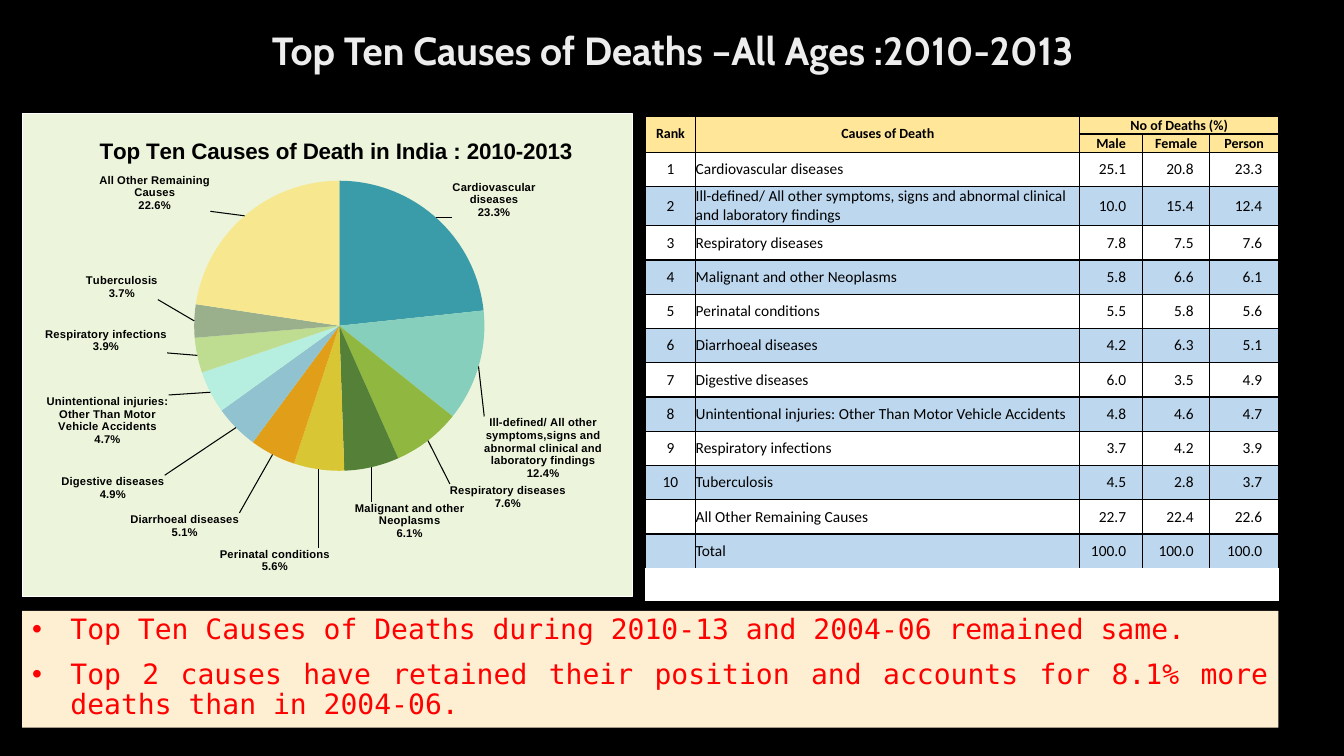
import pptx
import pptx.chart.data
import pptx.dml.color
import pptx.enum.chart
import pptx.enum.shapes
import pptx.enum.text
import pptx.oxml
import pptx.oxml.ns
import pptx.util

Inches = pptx.util.Inches
Pt = pptx.util.Pt
RGBColor = pptx.dml.color.RGBColor
Align = pptx.enum.text.PP_ALIGN
Anchor = pptx.enum.text.MSO_ANCHOR
qn = pptx.oxml.ns.qn
NS = pptx.oxml.ns.nsdecls("a", "c")

BLACK = RGBColor(0, 0, 0)
WHITE = RGBColor(255, 255, 255)
SILVER = RGBColor(0xED, 0xED, 0xED)
RED = RGBColor(255, 0, 0)
CREAM = RGBColor(0xFE, 0xEF, 0xD2)
GOLD = RGBColor(0xFF, 0xE6, 0x99)
SKY = RGBColor(0xBD, 0xD7, 0xEE)

SLICES = [
    ("Cardiovascular diseases", 23.3, RGBColor(0x3A, 0x9B, 0xA9), 0.02, 0.01),
    ("Ill-defined/ All other symptoms,signs and abnormal clinical and laboratory findings",
     12.4, RGBColor(0x86, 0xCF, 0xBD), 0, 0.1),
    ("Respiratory diseases", 7.6, RGBColor(0x90, 0xB8, 0x41), 0.03, 0.08),
    ("Malignant and other Neoplasms", 6.1, RGBColor(0x55, 0x80, 0x37), -0.03, 0.06),
    ("Perinatal conditions", 5.6, RGBColor(0xD9, 0xC6, 0x34), 0.02, 0.15),
    ("Diarrhoeal diseases", 5.1, RGBColor(0xE1, 0x9E, 0x19), -0.05, 0.11),
    ("Digestive diseases", 4.9, RGBColor(0x90, 0xC3, 0xCF), -0.11, 0.09),
    ("Unintentional injuries: Other Than Motor Vehicle Accidents",
     4.7, RGBColor(0xB6, 0xEE, 0xDF), -0.06, 0),
    ("Respiratory infections", 3.9, RGBColor(0xBE, 0xDD, 0x91), -0.04, -0.06),
    ("Tuberculosis", 3.7, RGBColor(0x9A, 0xB0, 0x8D), -0.05, -0.07),
    ("All Other Remaining Causes", 22.6, RGBColor(0xF7, 0xE7, 0x8F), -0.05, 0),
]

ROWS = [
    ("Rank", "Causes of Death", "No of Deaths (%)", "", ""),
    ("", "", "Male", "Female", "Person"),
    ("1", "Cardiovascular diseases", "25.1", "20.8", "23.3"),
    ("2", "Ill-defined/ All other symptoms, signs and abnormal clinical and laboratory findings",
     "10.0", "15.4", "12.4"),
    ("3", "Respiratory diseases", "7.8", "7.5", "7.6"),
    ("4", "Malignant and other Neoplasms", "5.8", "6.6", "6.1"),
    ("5", "Perinatal conditions", "5.5", "5.8", "5.6"),
    ("6", "Diarrhoeal diseases", "4.2", "6.3", "5.1"),
    ("7", "Digestive diseases", "6.0", "3.5", "4.9"),
    ("8", "Unintentional injuries: Other Than Motor Vehicle Accidents", "4.8", "4.6", "4.7"),
    ("9", "Respiratory infections", "3.7", "4.2", "3.9"),
    ("10", "Tuberculosis", "4.5", "2.8", "3.7"),
    ("", "All Other Remaining Causes", "22.7", "22.4", "22.6"),
    ("", "Total", "100.0", "100.0", "100.0"),
    ("", "", "", "", ""),
]
WIDTHS = [0.5, 3.81, 0.62, 0.67, 0.68]
HEIGHTS = [0.18, 0.18, 0.34, 0.39] + [0.34] * 10 + [0.32]

POINTS = [
    "Top Ten Causes of Deaths during 2010-13 and 2004-06 remained same.",
    "Top 2 causes have retained their position and accounts for 8.1% more deaths than in 2004-06.",
]


def style(para, face, size, color, bold=False):
    for run in para.runs:
        run.font.name = face
        run.font.size = Pt(size)
        run.font.bold = bold
        run.font.color.rgb = color


def add_title(slide, box):
    frame = slide.shapes.add_textbox(*map(Inches, box)).text_frame
    frame.word_wrap = True
    frame.vertical_anchor = Anchor.MIDDLE
    frame.text = "Top Ten Causes of Deaths –All Ages :2010-2013"
    para = frame.paragraphs[0]
    para.alignment = Align.CENTER
    para.line_spacing = 0.9
    style(para, "Cabin", 28, SILVER, True)


def add_points(slide, box):
    panel = slide.shapes.add_shape(pptx.enum.shapes.MSO_SHAPE.RECTANGLE, *map(Inches, box))
    panel.shadow.inherit = False
    panel.fill.solid()
    panel.fill.fore_color.rgb = CREAM
    panel.line.fill.background()
    frame = panel.text_frame
    frame.word_wrap = True
    frame.vertical_anchor = Anchor.TOP
    frame.text = "\n".join(POINTS)
    for i, para in enumerate(frame.paragraphs):
        para.alignment = Align.JUSTIFY
        para.line_spacing = 0.9
        if i:
            para.space_before = Pt(10)
        props = para._p.get_or_add_pPr()
        props.set("marL", str(Inches(0.48 - 0.1)))
        props.set("indent", str(-Inches(0.38)))
        props.append(pptx.oxml.parse_xml(f'<a:buFont {NS} typeface="Arial"/>'))
        props.append(pptx.oxml.parse_xml(f'<a:buChar {NS} char="•"/>'))
        style(para, "DejaVu Sans Mono", 20, RED)


def layout(x, y, extra=""):
    return (f'<c:layout {NS}><c:manualLayout>{extra}<c:x val="{x}"/><c:y val="{y}"/>'
            '</c:manualLayout></c:layout>')


def label_xml():
    look = ('<c:numFmt formatCode="0.0%" sourceLinked="0"/><c:spPr><a:noFill/></c:spPr>'
            '<c:txPr><a:bodyPr/><a:p><a:pPr><a:defRPr sz="800" b="1"><a:solidFill>'
            f'<a:srgbClr val="{BLACK}"/></a:solidFill><a:latin typeface="Arial"/></a:defRPr>'
            '</a:pPr><a:endParaRPr lang="en-US"/></a:p></c:txPr><c:dLblPos val="outEnd"/>'
            '<c:showLegendKey val="0"/><c:showVal val="0"/><c:showCatName val="1"/>'
            '<c:showSerName val="0"/><c:showPercent val="1"/><c:showBubbleSize val="0"/>'
            '<c:separator>\n</c:separator>')
    labels = "".join(f'<c:dLbl><c:idx val="{i}"/>{layout(x, y)}{look}</c:dLbl>'
                     for i, (_, _, _, x, y) in enumerate(SLICES))
    return (f'<c:dLbls {NS}>{labels}{look}<c:showLeaderLines val="1"/><c:leaderLines><c:spPr>'
            f'<a:ln w="9525"><a:solidFill><a:srgbClr val="{BLACK}"/></a:solidFill></a:ln>'
            '</c:spPr></c:leaderLines></c:dLbls>')


def add_pie(slide, box):
    data = pptx.chart.data.CategoryChartData()
    data.categories = [part[0] for part in SLICES]
    data.add_series("Series 1", [part[1] for part in SLICES])
    kind = pptx.enum.chart.XL_CHART_TYPE.PIE
    chart = slide.shapes.add_chart(kind, *map(Inches, box), data).chart
    chart.has_legend = False
    chart.font.name = "Arial"
    chart.font.size = Pt(10)
    chart.font.color.rgb = BLACK
    chart.has_title = True
    title = chart.chart_title
    title.text_frame.text = "Top Ten Causes of Death in India : 2010-2013"
    style(title.text_frame.paragraphs[0], "Arial", 16, BLACK, True)
    title.include_in_layout = False
    plot = chart.plots[0]
    plot.vary_by_categories = True
    for i, part in enumerate(SLICES):
        fill = plot.series[0].points[i].format.fill
        fill.solid()
        fill.fore_color.rgb = part[2]

    root = chart._chartSpace
    root.find(".//" + qn("c:cat")).addprevious(pptx.oxml.parse_xml(label_xml()))
    edge = '<c:xMode val="edge"/><c:yMode val="edge"/>'
    head = root.find(".//" + qn("c:title"))
    area = root.find(".//" + qn("c:plotArea"))
    for node in (head, area):
        for old in node.findall(qn("c:layout")):
            node.remove(old)
    head.find(qn("c:tx")).addnext(pptx.oxml.parse_xml(layout(0.12, 0.04, edge)))
    inner = pptx.oxml.parse_xml(layout(0.28, 0.14, '<c:layoutTarget val="inner"/>' + edge))
    for tag, size in (("w", 0.48), ("h", 0.6)):
        inner[0].append(pptx.oxml.parse_xml(f'<c:{tag} {NS} val="{size}"/>'))
    area.insert(0, inner)
    root.find(qn("c:chart")).addnext(pptx.oxml.parse_xml(
        f'<c:spPr {NS}><a:solidFill><a:srgbClr val="ECF5DB"/></a:solidFill><a:ln w="3175">'
        f'<a:solidFill><a:srgbClr val="{WHITE}"/></a:solidFill></a:ln></c:spPr>'))


def set_edges(cell):
    props = cell._tc.get_or_add_tcPr()
    for i, side in enumerate("LRTB"):
        props.insert(i, pptx.oxml.parse_xml(
            f'<a:ln{side} {NS} w="12700"><a:solidFill><a:srgbClr val="{BLACK}"/>'
            f'</a:solidFill></a:ln{side}>'))


def add_grid(slide, box):
    table = slide.shapes.add_table(len(ROWS), len(WIDTHS), *map(Inches, box)).table
    table.first_row = table.horz_banding = False
    for col, width in zip(table.columns, WIDTHS):
        col.width = Inches(width)
    for r, row in enumerate(ROWS):
        table.rows[r].height = Inches(HEIGHTS[r])
        top = r < 2
        for c, text in enumerate(row):
            cell = table.cell(r, c)
            figure = c > 1
            cell.margin_left = cell.margin_top = cell.margin_bottom = 0
            cell.margin_right = Inches(0.16 if figure and not top else 0)
            cell.vertical_anchor = Anchor.BOTTOM if figure and top else Anchor.MIDDLE
            cell.fill.solid()
            cell.fill.fore_color.rgb = GOLD if top else SKY if r % 2 else WHITE
            cell.text_frame.text = text
            para = cell.text_frame.paragraphs[0]
            para.alignment = (Align.CENTER if top or c == 0
                              else Align.RIGHT if figure else Align.LEFT)
            style(para, "Calibri", 10 if top else 11, BLACK, top)
            if r < len(ROWS) - 1:
                set_edges(cell)
    for c in (0, 1):
        table.cell(0, c).merge(table.cell(1, c))
    table.cell(0, 2).merge(table.cell(0, 4))
    for cell in table.rows[len(ROWS) - 1].cells:
        cell.fill.fore_color.rgb = WHITE


def main():
    deck = pptx.Presentation()
    deck.slide_width = Inches(13.33)
    deck.slide_height = Inches(7.5)
    slide = deck.slides.add_slide(deck.slide_layouts[6])
    slide.background.fill.solid()
    slide.background.fill.fore_color.rgb = BLACK
    add_title(slide, (0.92, 0.19, 11.5, 0.67))
    add_points(slide, (0.22, 6.06, 12.46, 1.16))
    add_pie(slide, (0.22, 1.12, 6.05, 4.8))
    add_grid(slide, (6.4, 1.15, 6.29, 4.8))
    deck.save("out.pptx")


if __name__ == "__main__":
    main()
